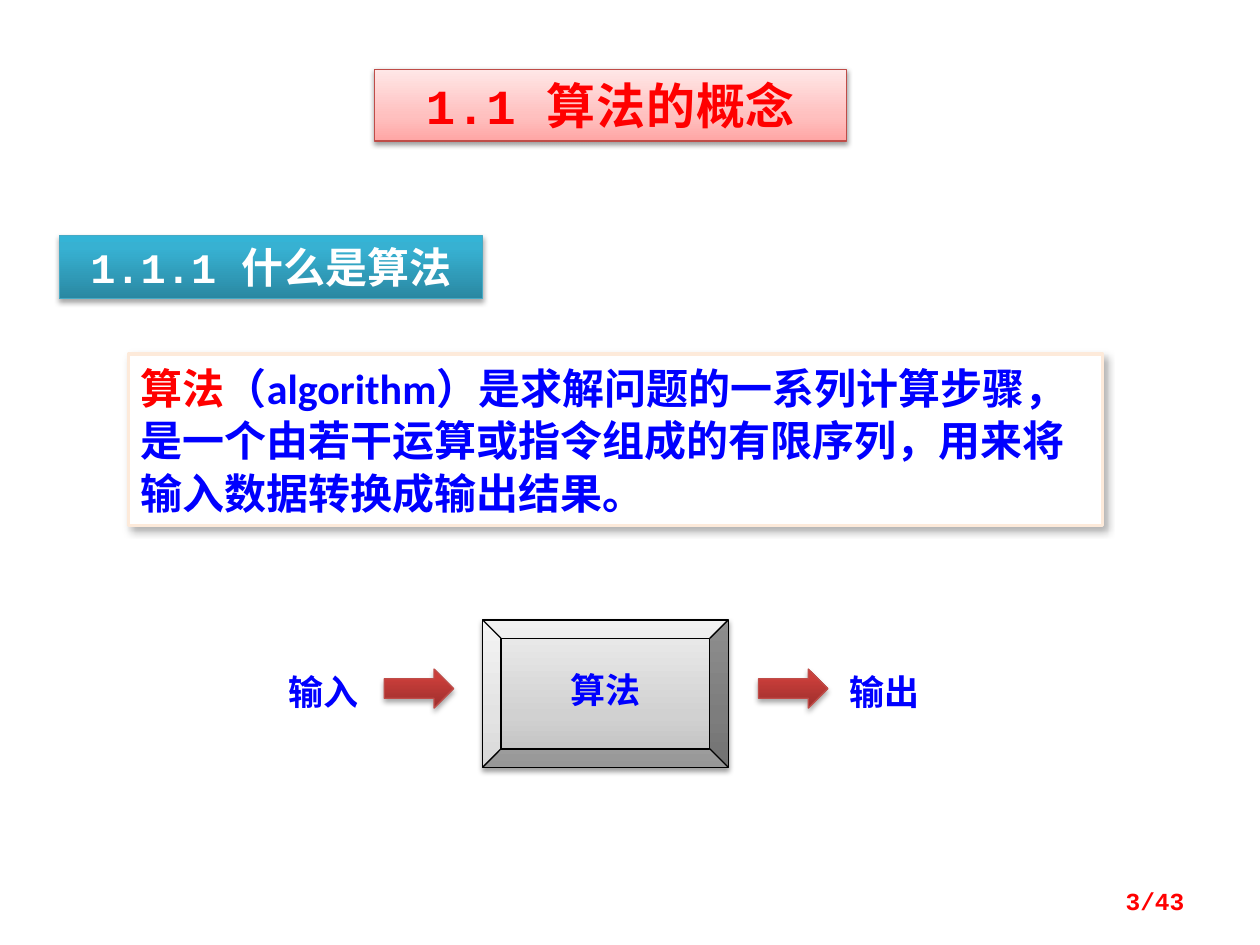
from pptx import Presentation
from pptx import util as u
from pptx.dml.color import RGBColor
from pptx.enum import shapes, text
from pptx.oxml import parse_xml
from pptx.oxml.ns import nsdecls, qn

HUES = {"red": "FF0000", "blue": "0000FF", "white": "FFFFFF", "black": "000000",
        "peach": "FDEADA", "brick": "BF4C48", "teal": "46AAC5"}
GRADS = {
    "pink": [(0, "FFA6A5"), (35, "FFC0BF"), (100, "FFE7E7")],
    "teal": [(0, "2A88A2"), (80, "37B1D2"), (100, "34B4D6")],
    "gray": [(0, "BDBDBD"), (35, "D1D1D1"), (100, "EEEEEE")],
    "red": [(0, "9C2F2D"), (80, "CB3E3A"), (100, "CE3B37")],
}
SANS, MONO, LATIN = "Noto Sans CJK SC", "Courier New", "Calibri"
SOFT = (38, 3.15, 1.57, 90)
FIRM = (35, 3.15, 1.81, 90)
DEEP = (30, 4.5, 2.6, 53)
MID = text.MSO_ANCHOR.MIDDLE
LEFT, RIGHT, CENTER = text.PP_ALIGN.LEFT, text.PP_ALIGN.RIGHT, text.PP_ALIGN.CENTER


def rgb(name):
    """Look up a named colour."""
    return RGBColor.from_string(HUES[name])


def place(shape, box):
    """Move and size a shape in points."""
    shape.left, shape.top, shape.width, shape.height = (u.Pt(v) for v in box)


def paint(shape, grad, edge, width=0.75):
    """Fill with a rising gradient, or white if grad is None, and outline."""
    if grad:
        shape.fill.gradient()
        shape.fill.gradient_angle = 90
        stops = shape._element.spPr.find(".//" + qn("a:gsLst"))
        for old in list(stops):
            stops.remove(old)
        for pos, hue in GRADS[grad]:
            stops.append(parse_xml(
                f'<a:gs {nsdecls("a")} pos="{pos * 1000}"><a:srgbClr val="{hue}"/></a:gs>'))
    else:
        shape.fill.solid()
        shape.fill.fore_color.rgb = rgb("white")
    shape.line.color.rgb = rgb(edge)
    shape.line.width = u.Pt(width)


def shade(shape, alpha, blur, dist, angle):
    """Give a shape a soft outer shadow."""
    shape.shadow.inherit = False
    shape._element.spPr.find(qn("a:effectLst")).append(parse_xml(
        f'<a:outerShdw {nsdecls("a")} blurRad="{u.Pt(blur)}" dist="{u.Pt(dist)}" '
        f'dir="{angle * 60000}" rotWithShape="0"><a:srgbClr val="{HUES["black"]}">'
        f'<a:alpha val="{alpha * 1000}"/></a:srgbClr></a:outerShdw>'))


def style(run, size, face, hue):
    """Format a run, with the sans face for Chinese."""
    run.font.size, run.font.bold = u.Pt(size), True
    run.font.name, run.font.color.rgb = face, rgb(hue)
    run._r.get_or_add_rPr().append(
        parse_xml(f'<a:ea {nsdecls("a")} typeface="{SANS}"/>'))


def write(shape, runs, size, align=LEFT, anchor=text.MSO_ANCHOR.TOP, space=None):
    """Write one paragraph of (words, face, colour) runs."""
    frame = shape.text_frame
    frame.word_wrap = True
    frame.auto_size = text.MSO_AUTO_SIZE.NONE
    frame.vertical_anchor = anchor
    para = frame.paragraphs[0]
    para.alignment = align
    para.line_spacing = space
    for words, face, hue in runs:
        run = para.add_run()
        run.text = words
        style(run, size, face, hue)


def block(slide, kind, box, grad, edge, shadow, width=0.75):
    """Add a painted and shaded preset shape."""
    shape = slide.shapes.add_shape(kind, *(u.Pt(v) for v in box))
    paint(shape, grad, edge, width)
    shade(shape, *shadow)
    return shape


def label(slide, box, words, size, face, hue, align=LEFT, **opts):
    """Add a plain text box."""
    shape = slide.shapes.add_textbox(*(u.Pt(v) for v in box))
    write(shape, [(words, face, hue)], size, align, **opts)


def head(slide):
    """Format the title as a pink banner."""
    title = slide.shapes.title
    place(title, (213.84, 39.6, 270, 41.04))
    paint(title, "pink", "brick")
    shade(title, *SOFT)
    write(title, [("1.1 算法的概念", MONO, "red")], 28, CENTER)
    title.text_frame.paragraphs[0].runs[0].font._element.set("spc", "50")


def flow(slide):
    """Draw input, algorithm and output joined by arrows."""
    kinds = shapes.MSO_SHAPE
    core = block(slide, kinds.BEVEL, (275.76, 354.24, 140.4, 84.24), "gray", "black", SOFT)
    write(core, [("算法", SANS, "blue")], 20, CENTER, MID, 0.8)
    for words, left, tip in (("输入", 157.68, 219.6), ("输出", 478.08, 433.44)):
        label(slide, (left, 379.44, 56.16, 31.68), words, 20, SANS, "blue")
        block(slide, kinds.RIGHT_ARROW, (tip, 382.32, 39.6, 22.32), "red", "brick", FIRM)


def main():
    """Build the slide and save it."""
    deck = Presentation()
    deck.slide_width, deck.slide_height = u.Pt(720), u.Pt(540)
    slide = deck.slides.add_slide(deck.slide_layouts[5])
    rect = shapes.MSO_SHAPE.RECTANGLE
    head(slide)
    sub = block(slide, rect, (33.84, 134.64, 241.92, 36), "teal", "teal", FIRM)
    write(sub, [("1.1.1 什么是算法", MONO, "white")], 24, CENTER)
    note = block(slide, rect, (73.44, 202.32, 556.56, 97.92), None, "peach", DEEP, 2)
    write(note, [("算法", SANS, "red"),
                 ("（algorithm）是求解问题的一系列计算步骤，", LATIN, "blue"),
                 ("是一个由若干运算或指令组成的有限序列，", SANS, "blue"),
                 ("用来将输入数据转换成输出结果。", LATIN, "blue")], 24, space=u.Pt(30))
    flow(slide)
    label(slide, (516.24, 500.4, 167.76, 28.8), "3/43", 14, MONO, "red", RIGHT, anchor=MID)
    deck.save("out.pptx")


main()
